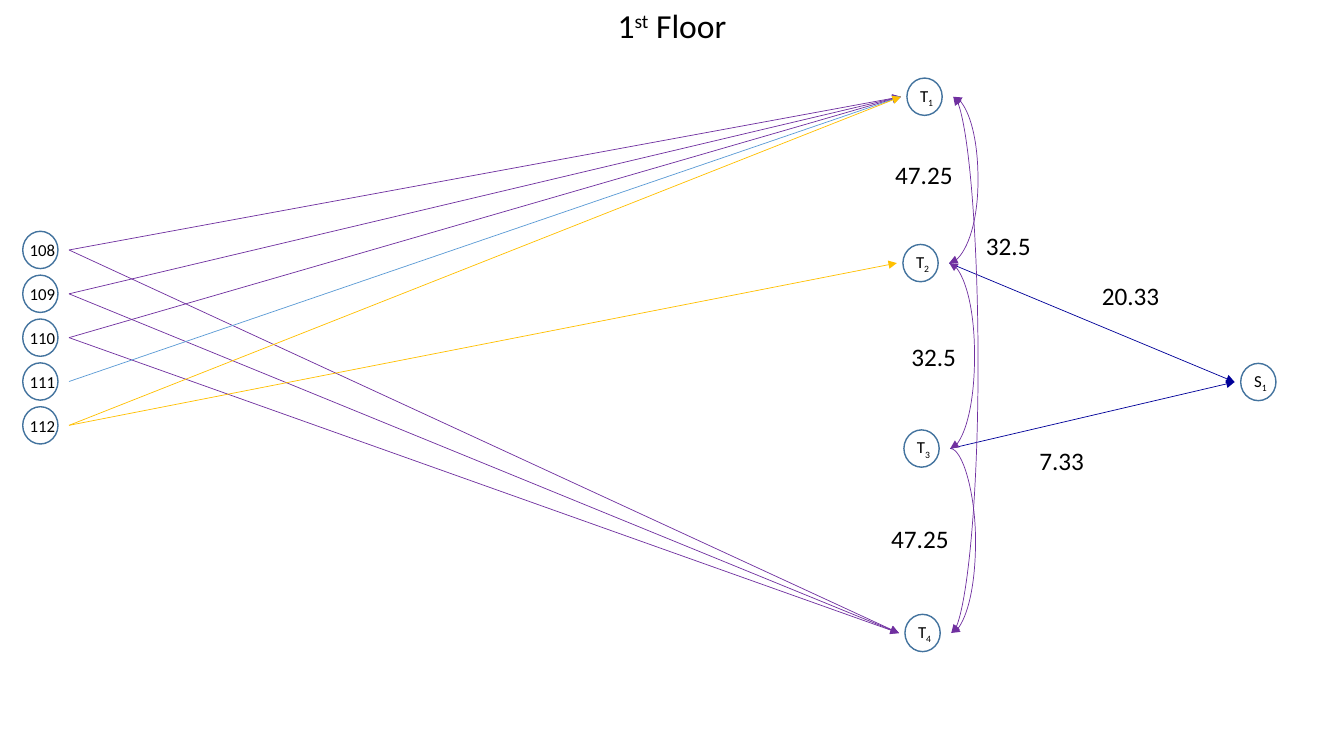
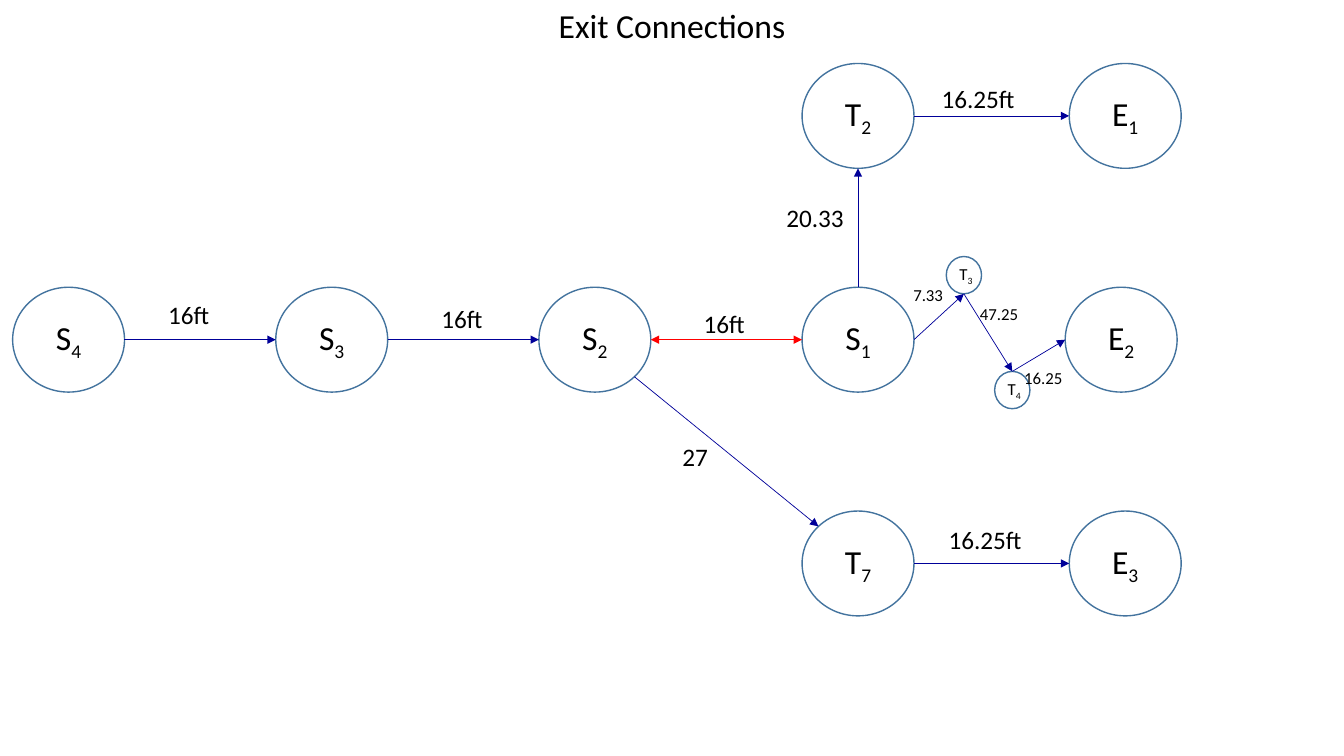
from math import cos, radians, sin

from lxml.etree import SubElement
from pptx import Presentation
from pptx.dml.color import RGBColor
from pptx.enum.shapes import MSO_CONNECTOR as CONN, MSO_SHAPE as SHAPE
from pptx.enum.text import MSO_ANCHOR as ANCHOR, MSO_AUTO_SIZE as AUTO, PP_ALIGN as ALIGN
from pptx.oxml.ns import qn
from pptx.util import Inches, Pt

FONT = "Calibri"
BLACK, OUTLINE = "000000", "43739E"
PURPLE, BLUE, GOLD, NAVY, RED = "7030A0", "5B9BD5", "FFC000", "000099", "FF0000"
SMALL, LARGE = (0.35, 0.37, 12), (1.11, 1.04, 24)
SUB, SUPER = -25000, 30000
TOP, TOP_LEFT, LEFT, BOTTOM, BOTTOM_RIGHT, RIGHT = 0, 1, 2, 4, 5, 6
LEFT_GAP, RIGHT_GAP = 0.06, 0.11


def rgb(value):
    """Turn a hex string into a colour."""
    return RGBColor.from_string(value)


def write(tf, parts, size, align=ALIGN.CENTER):
    """Write (text, baseline) parts as one paragraph."""
    p = tf.paragraphs[0]
    p.alignment = align
    p.font.name, p.font.size = FONT, Pt(size)
    p.font.color.rgb = rgb(BLACK)
    for text, baseline in parts:
        r = p.add_run()
        r.text = text
        if baseline:
            r.font.element.set("baseline", str(baseline)) if hasattr(r.font, "element") else \
                r._r.get_or_add_rPr().set("baseline", str(baseline))


def add_titled_slide(prs, parts):
    """Add a slide with its title across the top edge."""
    s = prs.slides.add_slide(prs.slide_layouts[5])
    sp = s.shapes.title
    sp.left, sp.top = 0, 0
    sp.width, sp.height = prs.slide_width, Inches(0.5)
    tf = sp.text_frame
    tf.auto_size = AUTO.NONE
    tf.vertical_anchor = ANCHOR.MIDDLE
    write(tf, parts, 24)
    return s


def add_node(s, parts, cx, cy, kind):
    """Add an outlined ellipse with a label, centred on a point."""
    w, h, size = kind
    sp = s.shapes.add_shape(SHAPE.OVAL, Inches(cx - w / 2), Inches(cy - h / 2),
                            Inches(w), Inches(h))
    sp.shadow.inherit = False
    sp.fill.background()
    sp.line.color.rgb = rgb(OUTLINE)
    sp.line.width = Pt(1)
    tf = sp.text_frame
    tf.word_wrap = False
    tf.vertical_anchor = ANCHOR.MIDDLE
    tf.margin_top = tf.margin_bottom = tf.margin_right = 0
    tf.margin_left = Inches(0.04 if kind == SMALL else 0)
    write(tf, parts, size)
    return sp


def add_indexed_nodes(s, centres, kind):
    """Add nodes named by a letter and a subscript digit."""
    return {name: add_node(s, [(name[0], 0), (name[1], SUB)], cx, cy, kind)
            for name, (cx, cy) in centres.items()}


def add_label(s, text, x, y, size=18):
    """Add a distance label with its top left corner at a point."""
    width, height = (1.02, 0.4) if size == 18 else (0.63, 0.3)
    sp = s.shapes.add_textbox(Inches(x), Inches(y), Inches(width), Inches(height))
    sp.text_frame.word_wrap = True
    write(sp.text_frame, [(text, 0)], size, ALIGN.LEFT)


def add_arrow(s, start, end, color, both=False, bend=None):
    """Add a thin arrow, curved through the x position bend if given."""
    kind = CONN.STRAIGHT if bend is None else CONN.CURVE
    c = s.shapes.add_connector(kind, *(Inches(v) for v in (*start, *end)))
    c.line.color.rgb = rgb(color)
    c.line.width = Pt(0.5)
    spPr = c.element.spPr
    if bend is not None:
        guides = spPr.find(qn("a:prstGeom")).get_or_add_avLst()
        ratio = (bend - start[0]) / (end[0] - start[0])
        SubElement(guides, qn("a:gd"), name="adj1", fmla=f"val {round(ratio * 100000)}")
    ln = spPr.find(qn("a:ln"))
    for tag in ("a:headEnd", "a:tailEnd") if both else ("a:tailEnd",):
        SubElement(ln, qn(tag), type="triangle")
    SubElement(spPr, qn("a:effectLst"))
    return c


def site_point(sp, site):
    """Return the point of an ellipse's connection site in inches."""
    angle = radians(45 * site)
    x = sp.left + sp.width / 2 * (1 - sin(angle))
    y = sp.top + sp.height / 2 * (1 - cos(angle))
    return x / Inches(1), y / Inches(1)


def join(s, first, first_site, last, last_site, color=NAVY, both=False):
    """Add an arrow joined to connection sites of two ellipses."""
    c = add_arrow(s, site_point(first, first_site), site_point(last, last_site), color, both)
    props = c.element.find(".//" + qn("p:cNvCxnSpPr"))
    for tag, sp, site in (("a:stCxn", first, first_site), ("a:endCxn", last, last_site)):
        SubElement(props, qn(tag), id=str(sp.shape_id), idx=str(site))


def left_port(sp):
    """Return the point just left of a node."""
    x, y = site_point(sp, LEFT)
    return x - LEFT_GAP, y


def right_port(sp):
    """Return the point just right of a node."""
    x, y = site_point(sp, RIGHT)
    return x + RIGHT_GAP, y


def build_first_floor(prs):
    """Build the graph of rooms, junctions and stairs."""
    s = add_titled_slide(prs, [("1", 0), ("st", SUPER), (" Floor", 0)])
    first_y, last_y = 2.48, 4.22
    step = (last_y - first_y) / 4
    nodes = {name: add_node(s, [(name, 0)], 0.4, first_y + i * step, SMALL)
             for i, name in enumerate(("108", "109", "110", "111", "112"))}
    nodes.update(add_indexed_nodes(s, {
        "T1": (9.17, 0.96), "T2": (9.13, 2.61), "T3": (9.14, 4.45),
        "T4": (9.15, 6.28), "S1": (12.48, 3.79)}, SMALL))

    for start, ends, color in (
            ("108", ("T4", "T1"), PURPLE), ("109", ("T1", "T4"), PURPLE),
            ("110", ("T1", "T4"), PURPLE), ("111", ("T1",), BLUE),
            ("112", ("T1", "T2"), GOLD), ("T2", ("S1",), NAVY), ("T3", ("S1",), NAVY)):
        for end in ends:
            add_arrow(s, right_port(nodes[start]), left_port(nodes[end]), color)

    for start, end, bend, both in (
            ("T1", "T2", 9.7, True), ("T1", "T4", 9.7, True),
            ("T2", "T3", 9.67, True), ("T3", "T4", 9.68, False)):
        add_arrow(s, right_port(nodes[start]), right_port(nodes[end]), PURPLE, both, bend)

    for label in (("47.25", 8.78, 1.53), ("47.25", 8.74, 5.14), ("32.5", 8.94, 3.34),
                  ("32.5", 9.68, 2.24), ("20.33", 10.83, 2.73), ("7.33", 10.21, 4.37)):
        add_label(s, *label)


def build_exits(prs):
    """Build the graph of stairs, junctions and exits."""
    s = add_titled_slide(prs, [("Exit Connections", 0)])
    x = [0.68 + 2.61 * i for i in range(5)]
    upper, middle, lower = (1.15 + 2.22 * i for i in range(3))
    exit_x = 11.16
    n = add_indexed_nodes(s, {
        "S4": (x[0], middle), "S3": (x[1], middle), "S2": (x[2], middle),
        "S1": (x[3], middle), "E2": (x[4], middle), "T2": (x[3], upper),
        "E1": (exit_x, upper), "T7": (x[3], lower), "E3": (exit_x, lower)}, LARGE)
    n.update(add_indexed_nodes(s, {"T3": (9.56, 2.73), "T4": (10.04, 3.87)}, SMALL))

    for start, start_site, end, end_site in (
            ("S4", RIGHT, "S3", LEFT), ("S3", RIGHT, "S2", LEFT),
            ("S2", BOTTOM_RIGHT, "T7", TOP_LEFT), ("T7", RIGHT, "E3", LEFT),
            ("S1", TOP, "T2", BOTTOM), ("T2", RIGHT, "E1", LEFT),
            ("S1", RIGHT, "T3", BOTTOM), ("T3", BOTTOM, "T4", TOP),
            ("T4", TOP, "E2", LEFT)):
        join(s, n[start], start_site, n[end], end_site)
    join(s, n["S2"], RIGHT, n["S1"], LEFT, RED, both=True)

    for label in (("16ft", 1.57, 2.92), ("16ft", 4.28, 2.96), ("16ft", 6.88, 3.01),
                  ("16.25ft", 9.31, 5.15), ("16.25ft", 9.24, 0.78), ("20.33", 7.7, 1.96),
                  ("27", 6.67, 4.33), ("7.33", 8.96, 2.78, 12), ("47.25", 9.62, 2.96, 12),
                  ("16.25", 10.06, 3.6, 12)):
        add_label(s, *label)


def main():
    """Build and save the presentation."""
    prs = Presentation()
    prs.slide_width, prs.slide_height = Inches(13.33), Inches(7.5)
    build_first_floor(prs)
    build_exits(prs)
    prs.save("out.pptx")


if __name__ == "__main__":
    main()
